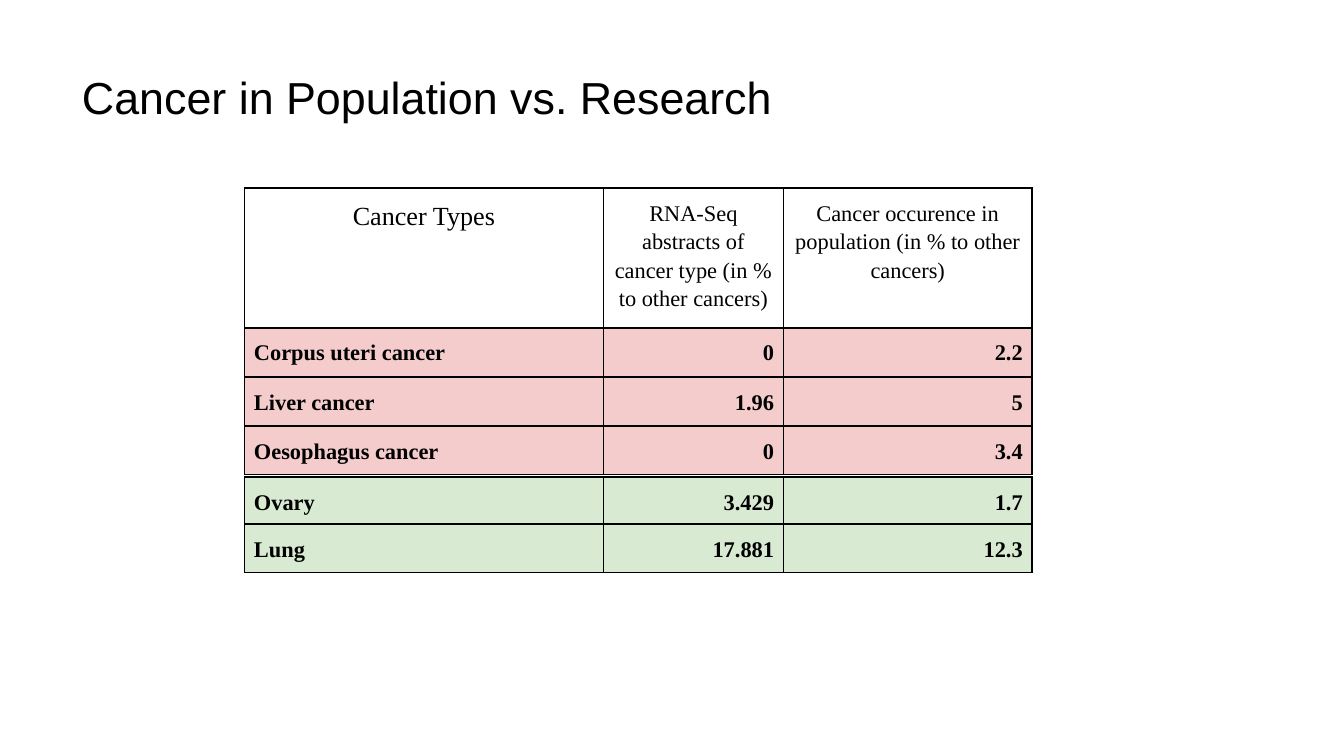
import dataclasses

import lxml.etree
import pptx
import pptx.dml.color
import pptx.enum.text
import pptx.oxml.ns
import pptx.util

Inches = pptx.util.Inches
ALIGN = pptx.enum.text.PP_ALIGN


@dataclasses.dataclass(frozen=True)
class Theme:
    """Colours, fonts and type sizes of the slide."""
    ink: str = "000000"
    under_studied: str = "F4CCCC"
    well_studied: str = "D9EAD3"
    title_font: str = "Arial"
    table_font: str = "Times New Roman"
    title_size: int = 24
    heading_size: int = 14
    body_size: int = 12
    border: int = 1


THEME = Theme()
LEFT = 1.82
COLUMNS = (2.67, 1.34, 1.85)
ROW_HEIGHT = 0.36
HEADINGS = (
    "Cancer Types",
    "RNA-Seq abstracts of cancer type (in % to other cancers)",
    "Cancer occurence in population (in % to other cancers)",
)
BANDS = (
    (2.81, THEME.under_studied, (("Liver cancer", "1.96", "5"),
                                 ("Oesophagus cancer", "0", "3.4"))),
    (3.55, THEME.well_studied, (("Ovary", "3.429", "1.7"),)),
    (3.9, THEME.well_studied, (("Lung", "17.881", "12.3"),)),
    (2.44, THEME.under_studied, (("Corpus uteri cancer", "0", "2.2"),)),
)


def style_runs(paragraph, font, size, bold=False):
    """Format every run of a paragraph."""
    for run in paragraph.runs:
        run.font.name = font
        run.font.size = pptx.util.Pt(size)
        run.font.bold = bold
        run.font.color.rgb = pptx.dml.color.RGBColor.from_string(THEME.ink)


def add_borders(cell):
    """Draw a thin line on all four sides of a cell."""
    qn = pptx.oxml.ns.qn
    properties = cell._tc.get_or_add_tcPr()
    for side in ("a:lnL", "a:lnR", "a:lnT", "a:lnB"):
        line = lxml.etree.SubElement(
            properties, qn(side), w=str(pptx.util.Pt(THEME.border)))
        fill = lxml.etree.SubElement(line, qn("a:solidFill"))
        lxml.etree.SubElement(fill, qn("a:srgbClr"), val=THEME.ink)


def fill_cell(cell, text, align, size, bold, colour, side_margin):
    """Write one table cell with its borders, fill and margins."""
    add_borders(cell)
    if colour:
        cell.fill.solid()
        cell.fill.fore_color.rgb = pptx.dml.color.RGBColor.from_string(colour)
    else:
        cell.fill.background()
    cell.margin_left = cell.margin_right = Inches(side_margin)
    cell.margin_top = cell.margin_bottom = Inches(0.07)
    cell.text_frame.text = text
    paragraph = cell.text_frame.paragraphs[0]
    paragraph.alignment = align
    paragraph.line_spacing = 1.15
    style_runs(paragraph, THEME.table_font, size, bold)


def add_grid(slide, top, row_count, row_height):
    """Add an unbanded table with the shared column widths."""
    table = slide.shapes.add_table(
        row_count, len(COLUMNS), Inches(LEFT), Inches(top),
        Inches(sum(COLUMNS)), Inches(row_height * row_count)).table
    table.first_row = table.horz_banding = False
    for column, width in zip(table.columns, COLUMNS):
        column.width = Inches(width)
    return table


def add_band(slide, top, colour, records):
    """Add a coloured table of cancer types and their percentages."""
    table = add_grid(slide, top, len(records), ROW_HEIGHT)
    for row, record in zip(table.rows, records):
        for index, (cell, text) in enumerate(zip(row.cells, record)):
            align = ALIGN.RIGHT if index else ALIGN.JUSTIFY
            fill_cell(cell, text, align, THEME.body_size, True, colour, 0.07)


def add_headings(slide):
    """Add the table that holds the column headings."""
    table = add_grid(slide, 1.4, 1, 1.04)
    for index, (cell, text) in enumerate(zip(table.rows[0].cells, HEADINGS)):
        size = THEME.body_size if index else THEME.heading_size
        fill_cell(cell, text, ALIGN.CENTER, size, False, None, 0.06)


def set_title(slide, text):
    """Place and format the slide title."""
    title = slide.shapes.title
    title.left, title.top = Inches(0.51), Inches(0.4)
    title.width, title.height = Inches(8.98), Inches(0.64)
    frame = title.text_frame
    frame.text = text
    frame.word_wrap = True
    frame.auto_size = pptx.enum.text.MSO_AUTO_SIZE.NONE
    frame.vertical_anchor = pptx.enum.text.MSO_ANCHOR.MIDDLE
    frame.margin_left = frame.margin_right = Inches(0.1)
    frame.margin_top = frame.margin_bottom = Inches(0.1)
    frame.paragraphs[0].alignment = ALIGN.LEFT
    style_runs(frame.paragraphs[0], THEME.title_font, THEME.title_size)


def main():
    """Build the slide and save it."""
    deck = pptx.Presentation()
    deck.slide_width = Inches(10)
    deck.slide_height = Inches(10) * 9 // 16
    slide = deck.slides.add_slide(deck.slide_layouts[5])
    set_title(slide, "Cancer in Population vs. Research")
    for top, colour, records in BANDS:
        add_band(slide, top, colour, records)
    add_headings(slide)
    deck.save("out.pptx")


if __name__ == "__main__":
    main()
